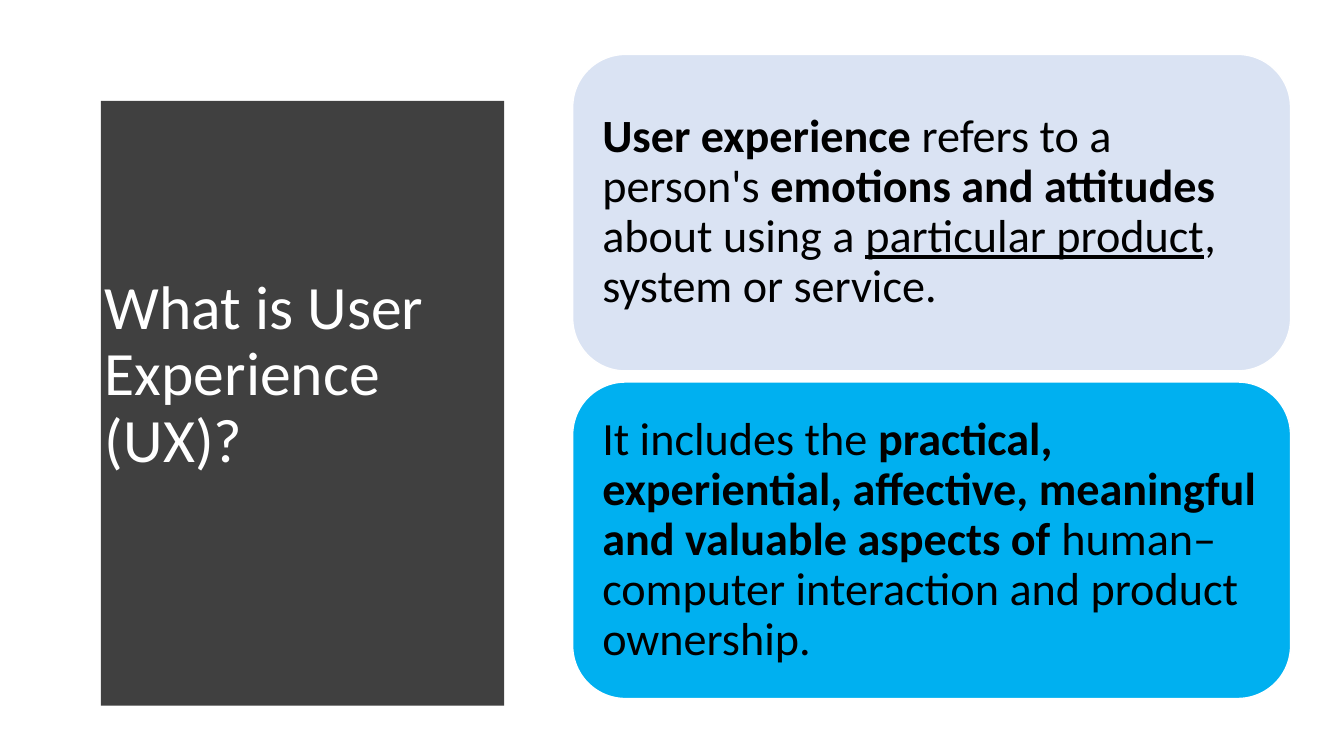
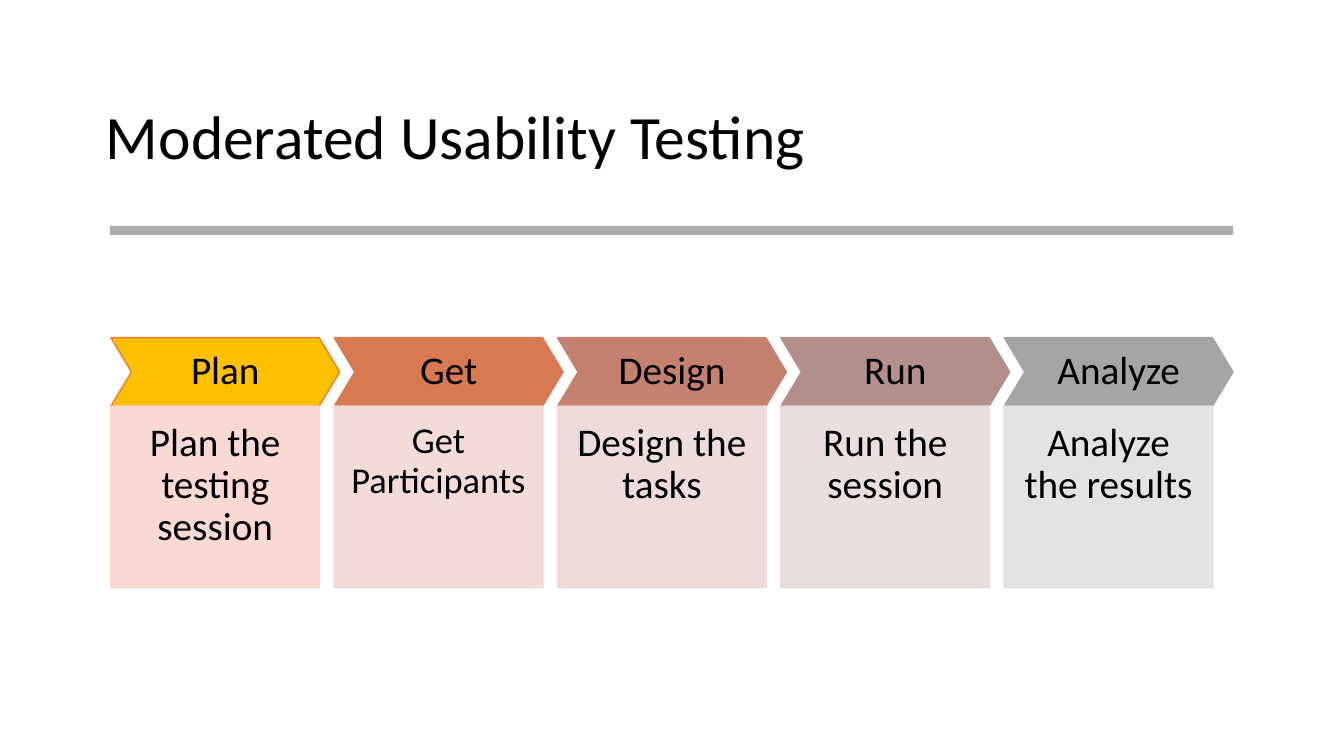
from lxml import etree
from pptx import Presentation
from pptx.dml.color import RGBColor
from pptx.enum.shapes import MSO_SHAPE
from pptx.enum.text import MSO_ANCHOR, MSO_AUTO_SIZE, PP_ALIGN
from pptx.oxml.ns import qn
from pptx.util import Inches, Pt

RECT, ROUNDED, CHEVRON = MSO_SHAPE.RECTANGLE, MSO_SHAPE.ROUNDED_RECTANGLE, MSO_SHAPE.CHEVRON
TOP, MIDDLE = MSO_ANCHOR.TOP, MSO_ANCHOR.MIDDLE
LEFT, CENTER = PP_ALIGN.LEFT, PP_ALIGN.CENTER
NO_AUTOFIT = MSO_AUTO_SIZE.NONE
TITLE_ONLY = 5

FONT = "Calibri"
TITLE_SIZE = 44
LINE_SPACING = 0.9
COLORS = {
    "text": "000000", "white": "FFFFFF", "panel": "404040", "rule": "808080",
    "pale_blue": "DAE3F3", "blue": "00B0F0",
    "amber": "FFC000", "orange": "ED7D31", "rust": "D87A51", "clay": "C48170",
    "mauve": "B4908B", "gray": "A5A5A5",
    "pale_orange": "F8D7CE", "pale_rust": "F2D8D2", "pale_clay": "EDD9D7",
    "pale_mauve": "E7DCDC", "pale_gray": "E1E1E1",
}
# Heading, heading fill, heading line, detail, detail fill, detail size
STEPS = [
    ("Plan", "amber", "orange", "Plan the testing session", "pale_orange", 28),
    ("Get", "rust", "rust", "Get Participants", "pale_rust", 26),
    ("Design", "clay", "clay", "Design the tasks", "pale_clay", 28),
    ("Run", "mauve", "mauve", "Run the session", "pale_mauve", 28),
    ("Analyze", "gray", "gray", "Analyze the results", "pale_gray", 28),
]
# Each run is its text and its style: "b" bold, "u" underlined
DEFINITION = [
    ("User experience ", "b"), ("refers to a person's ", ""),
    ("emotions and attitudes ", "b"), ("about using a ", ""),
    ("particular product", "u"), (", system or service.", ""),
]
SCOPE = [
    ("It includes the ", ""),
    ("practical, experiential, affective, meaningful and valuable aspects of ", "b"),
    ("human–computer interaction and product ownership.", ""),
]


def rgb(name):
    return RGBColor.from_string(COLORS[name])


def paint(s, fill, line=None, opacity=100):
    """Set fill and line, with one opacity in percent for both."""
    s.shadow.inherit = False
    s.fill.solid()
    s.fill.fore_color.rgb = rgb(fill)
    if line:
        s.line.color.rgb = rgb(line)
        s.line.width = Pt(1)
    else:
        s.line.fill.background()
    if opacity < 100:
        for color in s.element.spPr.iter(qn("a:srgbClr")):
            etree.SubElement(color, qn("a:alpha"), val=str(opacity * 1000))


def add_box(slide, kind, box, fill, line=None, opacity=100):
    s = slide.shapes.add_shape(kind, *map(Inches, box))
    paint(s, fill, line, opacity)
    return s


def write(s, runs, size, color="text", align=LEFT, anchor=MIDDLE, insets=(0.1, 0.05, 0.1, 0.05)):
    """Write one paragraph of runs; insets are left, top, right, bottom."""
    tf = s.text_frame
    tf.word_wrap = True
    tf.auto_size = NO_AUTOFIT
    tf.vertical_anchor = anchor
    tf.margin_left, tf.margin_top, tf.margin_right, tf.margin_bottom = map(Inches, insets)
    p = tf.paragraphs[0]
    p.alignment = align
    p.line_spacing = LINE_SPACING
    for text, style in runs:
        r = p.add_run()
        r.text = text
        r.font.name = FONT
        r.font.size = Pt(size)
        r.font.color.rgb = rgb(color)
        r.font.bold = "b" in style
        r.font.underline = "u" in style


def add_titled_slide(prs, title, box, color="text"):
    slide = prs.slides.add_slide(prs.slide_layouts[TITLE_ONLY])
    s = slide.shapes.title
    s.left, s.top, s.width, s.height = map(Inches, box)
    write(s, [(title, "")], TITLE_SIZE, color)
    return slide


def add_curved_panel(slide, box, bulge=0.24, segments=40):
    """Dark panel behind the title, its right edge a parabola."""
    x, y, w, h = box
    edge = []
    for i in range(segments + 1):
        t = 2 * i / segments - 1
        edge.append((x + w - bulge * t * t, y + h * i / segments))
    outline = slide.shapes.build_freeform(x, y, scale=Inches(1))
    outline.add_line_segments(edge + [(x, y + h)], close=True)
    panel = outline.convert_to_shape()
    paint(panel, "panel")
    slide.shapes.title.element.addprevious(panel.element)


def add_cards(slide, box, cards, gap=0.11):
    """Stack rounded cards of equal height."""
    x, y, w, h = box
    card_h = (h - gap * (len(cards) - 1)) / len(cards)
    for i, (runs, fill) in enumerate(cards):
        card = add_box(slide, ROUNDED, (x, y + i * (card_h + gap), w, card_h), fill, "white")
        write(card, runs, 33, insets=(0.14,) * 4)


def add_process(slide, box, steps, head_h=0.68, head_w=2.27, detail_w=2.07):
    """Row of chevrons, each with its detail box below."""
    x, y, w, h = box
    pitch = (w - head_w) / (len(steps) - 1)
    for i, (head, fill, line, detail, detail_fill, size) in enumerate(steps):
        left = x + i * pitch
        chevron = add_box(slide, CHEVRON, (left, y, head_w, head_h), fill, line)
        chevron.adjustments[0] = 0.3
        write(chevron, [(head, "")], 28, align=CENTER, insets=(0.08,) * 4)
        body = add_box(slide, RECT, (left, y + head_h, detail_w, h - head_h),
                       detail_fill, detail_fill, 90)
        write(body, [(detail, "")], size, align=CENTER, anchor=TOP,
              insets=(0.16, 0.16, 0.16, 0.33))


def build_definition_slide(prs):
    slide = add_titled_slide(prs, "What is User Experience (UX)?",
                             (0.94, 1.11, 3.74, 5.24), "white")
    add_curved_panel(slide, (0.53, 0.52, 4.79, 6.44))
    add_cards(slide, (5.68, 0.54, 7.12, 6.39), [(DEFINITION, "pale_blue"), (SCOPE, "blue")])


def build_testing_slide(prs):
    slide = add_titled_slide(prs, "Moderated Usability Testing", (0.95, 0.66, 11.43, 1.45))
    add_box(slide, RECT, (1.09, 2.24, 11.14, 0.09), "rule", opacity=65)
    add_process(slide, (1.1, 3.35, 11.13, 2.48), STEPS)


def main():
    prs = Presentation()
    prs.slide_width, prs.slide_height = Inches(13.33), Inches(7.5)
    build_definition_slide(prs)
    build_testing_slide(prs)
    prs.save("out.pptx")


if __name__ == "__main__":
    main()
